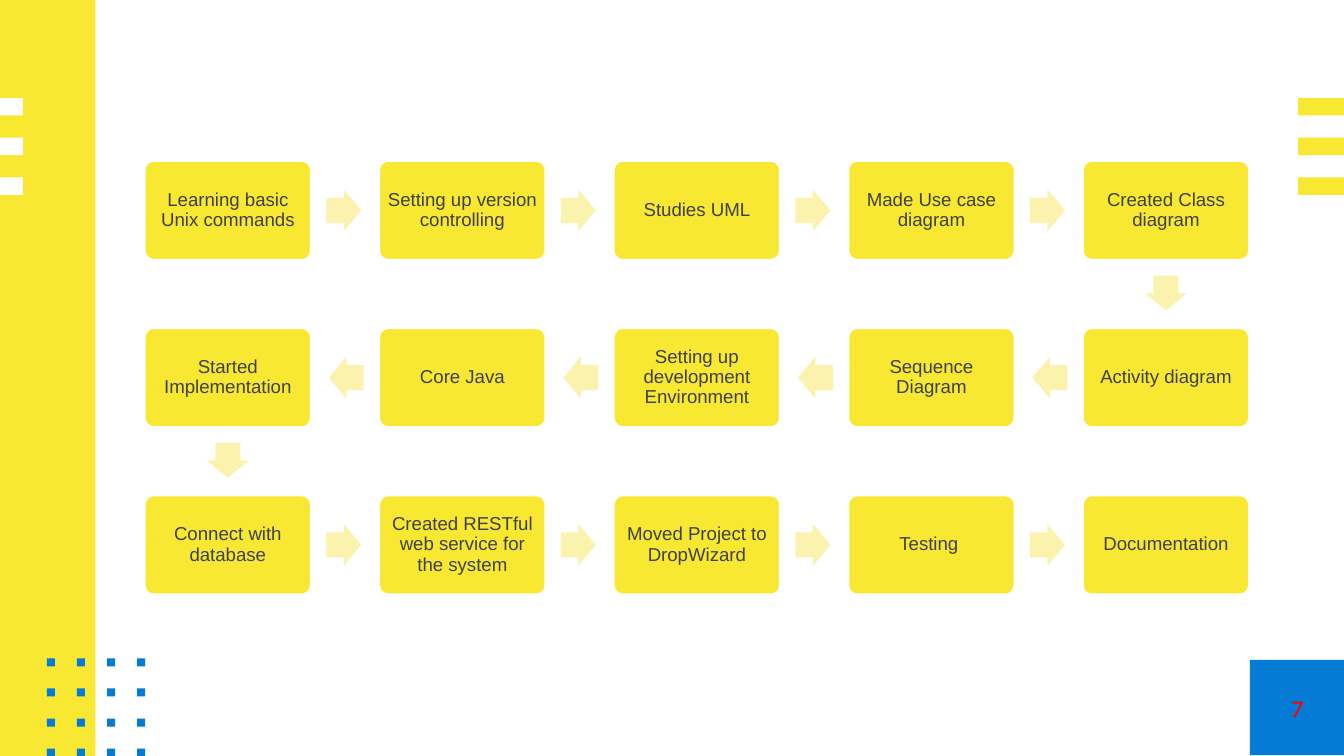
from pptx import Presentation
from pptx.dml.color import RGBColor
from pptx.enum.shapes import MSO_SHAPE
from pptx.enum.text import MSO_ANCHOR, PP_ALIGN
from pptx.util import Inches, Pt

YELLOW = RGBColor(0xF8, 0xE8, 0x31)
PALE_YELLOW = RGBColor(0xFB, 0xF2, 0xAE)
BLUE = RGBColor(0x04, 0x7B, 0xD5)
WHITE = RGBColor(0xFF, 0xFF, 0xFF)
RED = RGBColor(0xFF, 0x00, 0x00)
DARK_GREY = RGBColor(0x3F, 0x41, 0x4A)

SLIDE_WIDTH = 10
SLIDE_HEIGHT = SLIDE_WIDTH * 9 / 16
COLUMNS = 5
GRID_LEFT, GRID_TOP = 1.07, 1.19
COLUMN_STEP, ROW_STEP = 6.98 / 4, 2.49 / 2
BOX_WIDTH, BOX_HEIGHT = 1.25, 0.75
ARROW_WIDTH, ARROW_HEIGHT = 0.26, 0.31
ARROW_POSITION = 0.495
DOT_SIZE, DOT_STEP = 0.06, 0.67 / 3
BAR_HEIGHT, BAR_STEP = 0.13, 0.59 / 2

STEPS = [
    "Learning basic Unix commands",
    "Setting up version controlling",
    "Studies UML",
    "Made Use case diagram",
    "Created Class diagram",
    "Activity diagram",
    "Sequence Diagram",
    "Setting up development Environment",
    "Core Java",
    "Started Implementation",
    "Connect with database",
    "Created RESTful web service for the system",
    "Moved Project to DropWizard",
    "Testing ",
    "Documentation",
]
STEP_FONT = {"name": "Arial", "size": Pt(10)}
NUMBER_FONT = {"name": "Karla", "size": Pt(13)}


def add_block(slide, kind, left, top, width, height, fill):
    """Add a filled preset shape without outline or shadow."""
    shape = slide.shapes.add_shape(
        kind, Inches(left), Inches(top), Inches(width), Inches(height)
    )
    shape.shadow.inherit = False
    shape.fill.solid()
    shape.fill.fore_color.rgb = fill
    shape.line.fill.background()
    return shape


def write_text(shape, text, font_format, color, margin, line_spacing):
    """Write one centred paragraph into a shape."""
    frame = shape.text_frame
    frame_format = {"word_wrap": True, "vertical_anchor": MSO_ANCHOR.MIDDLE}
    for side in ("left", "top", "right", "bottom"):
        frame_format[f"margin_{side}"] = Inches(margin)
    for name, value in frame_format.items():
        setattr(frame, name, value)
    paragraph = frame.paragraphs[0]
    paragraph.alignment = PP_ALIGN.CENTER
    paragraph.line_spacing = line_spacing
    run = paragraph.add_run()
    run.text = text
    for name, value in font_format.items():
        setattr(run.font, name, value)
    run.font.color.rgb = color


def add_bars(slide, left, width, fill):
    """Add a stack of three short bars at a slide edge."""
    for row in range(3):
        top = 0.73 + row * BAR_STEP
        add_block(slide, MSO_SHAPE.RECTANGLE, left, top, width, BAR_HEIGHT, fill)


def add_decoration(slide):
    """Add the side band, edge bars, dot grid and numbered corner."""
    add_block(slide, MSO_SHAPE.RECTANGLE, 0, 0, 0.71, SLIDE_HEIGHT, YELLOW)
    add_bars(slide, 0, 0.17, WHITE)
    add_bars(slide, 9.66, 0.34, YELLOW)
    for row in range(4):
        for column in range(4):
            add_block(
                slide, MSO_SHAPE.RECTANGLE,
                0.35 + column * DOT_STEP, 4.9 + row * DOT_STEP,
                DOT_SIZE, DOT_SIZE, BLUE,
            )
    corner = add_block(slide, MSO_SHAPE.RECTANGLE, 9.3, 4.91, 0.71, 0.71, BLUE)
    write_text(corner, "7", NUMBER_FONT, RED, 0, 1)


def step_center(index):
    """Return the centre of a step on the winding path."""
    row, column = divmod(index, COLUMNS)
    if row % 2:
        column = COLUMNS - 1 - column
    return (
        GRID_LEFT + column * COLUMN_STEP + BOX_WIDTH / 2,
        GRID_TOP + row * ROW_STEP + BOX_HEIGHT / 2,
    )


def add_step(slide, index, text):
    """Add the rounded box of one step."""
    x, y = step_center(index)
    box = add_block(
        slide, MSO_SHAPE.ROUNDED_RECTANGLE,
        x - BOX_WIDTH / 2, y - BOX_HEIGHT / 2, BOX_WIDTH, BOX_HEIGHT, YELLOW,
    )
    box.adjustments[0] = 0.1
    box.line.color.rgb = WHITE
    box.line.width = Pt(2)
    write_text(box, text, STEP_FONT, DARK_GREY, 0.04, 0.9)


def add_arrow(slide, index):
    """Add the block arrow from one step to the next."""
    start_x, start_y = step_center(index)
    end_x, end_y = step_center(index + 1)
    x = start_x + (end_x - start_x) * ARROW_POSITION
    y = start_y + (end_y - start_y) * ARROW_POSITION
    arrow = add_block(
        slide, MSO_SHAPE.RIGHT_ARROW,
        x - ARROW_WIDTH / 2, y - ARROW_HEIGHT / 2,
        ARROW_WIDTH, ARROW_HEIGHT, PALE_YELLOW,
    )
    arrow.adjustments[0] = 0.6
    arrow.adjustments[1] = 0.5
    if (index + 1) % COLUMNS == 0:
        arrow.rotation = 90
    elif index // COLUMNS % 2:
        arrow.rotation = 180


def main():
    """Build the slide with the project steps."""
    presentation = Presentation()
    presentation.slide_width = Inches(SLIDE_WIDTH)
    presentation.slide_height = Inches(SLIDE_HEIGHT)
    slide = presentation.slides.add_slide(presentation.slide_layouts[6])
    add_decoration(slide)
    for index, text in enumerate(STEPS):
        add_step(slide, index, text)
        if index < len(STEPS) - 1:
            add_arrow(slide, index)
    presentation.save("out.pptx")


if __name__ == "__main__":
    main()
